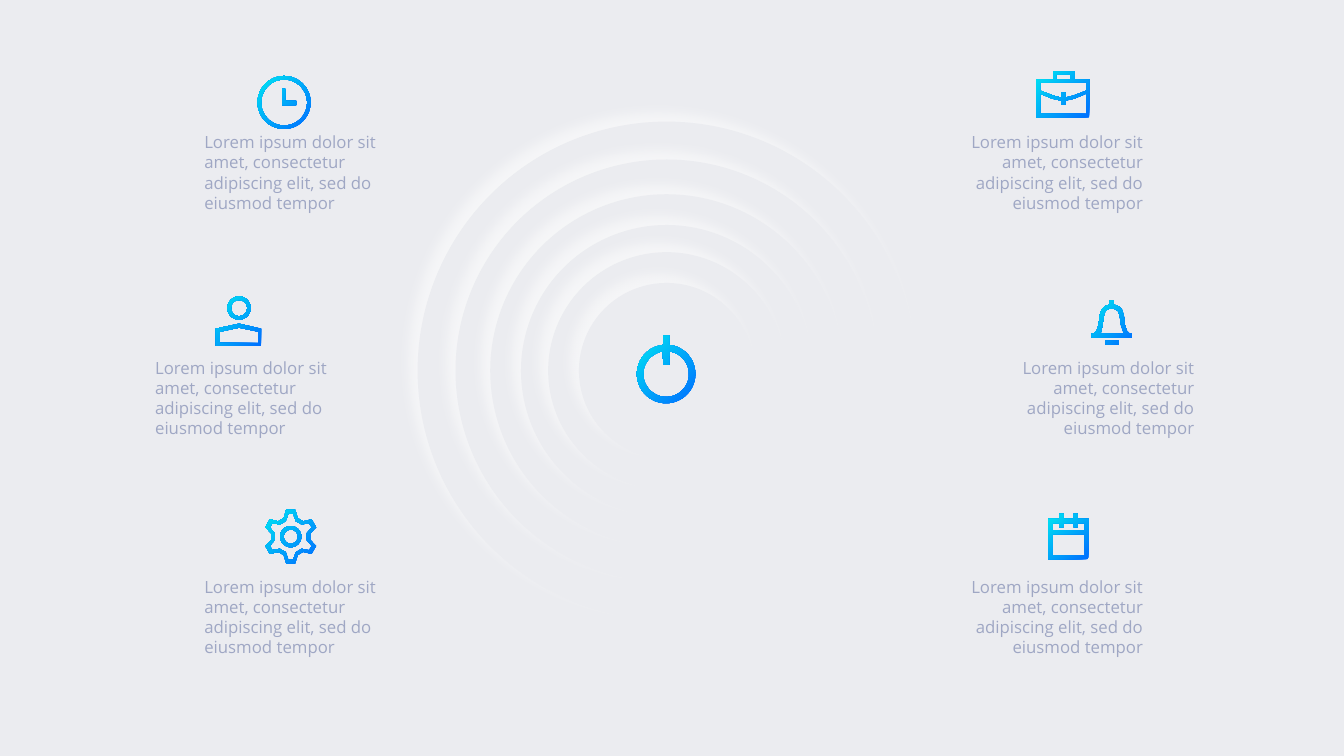
from dataclasses import dataclass
from math import cos, radians, sin

from lxml import etree
from pptx import Presentation
from pptx import util as u
from pptx.dml.color import RGBColor
from pptx.enum import text
from pptx.enum.shapes import MSO_SHAPE
from pptx.oxml import ns


@dataclass(frozen=True)
class Theme:
    back: str = "EBECF0"
    glow: str = "FFFFFF"
    blue: str = "006EFF"
    cyan: str = "00E6F2"
    ink: str = "9FA7C4"
    font: str = "Open Sans"
    size: int = 12


theme = Theme()
rgb = RGBColor.from_string


def arc(x, y, r, start=0, end=360):
    """Points clockwise along an arc; zero degrees is at the top."""
    turns = [radians(start + (end - start) * i / 72) for i in range(73)]
    return [(x + r * sin(t), y - r * cos(t)) for t in turns]


def cog(x, y, tip, tip_turn, base, base_turn):
    """Outline of a gear with six teeth."""
    marks = [(base, -base_turn), (tip, -tip_turn), (tip, tip_turn), (base, base_turn)]
    return [(x + r * sin(radians(a + tooth)), y - r * cos(radians(a + tooth)))
            for tooth in range(0, 360, 60) for r, a in marks]


# Slide and background
deck = Presentation()
deck.slide_width, deck.slide_height = u.Cm(33.87), u.Cm(19.05)
slide = deck.slides.add_slide(deck.slide_layouts[6])
slide.background.fill.solid()
slide.background.fill.fore_color.rgb = rgb(theme.back)

# Soft rings around one centre
mid_x, mid_y = 16.8, 9.34
for wide in (12.55, 10.64, 8.89, 7.34, 5.97, 4.42):
    disc = slide.shapes.add_shape(
        MSO_SHAPE.OVAL, u.Cm(mid_x - wide / 2), u.Cm(mid_y - wide / 2),
        u.Cm(wide), u.Cm(wide))
    disc.fill.solid()
    disc.fill.fore_color.rgb = rgb(theme.back)
    disc.line.fill.background()
    disc.shadow.inherit = False
    effects = disc._element.spPr.find(ns.qn("a:effectLst"))
    shade = etree.SubElement(
        effects, ns.qn("a:outerShdw"), blurRad=str(u.Pt(9)), dist=str(u.Pt(9)),
        dir=str(225 * 60000), algn="br", rotWithShape="0")
    tint = etree.SubElement(shade, ns.qn("a:srgbClr"), val=theme.glow)
    etree.SubElement(tint, ns.qn("a:alpha"), val="56000")

# Icon outlines, on a grid of 0.254 mm from each icon's corner
clock = [arc(26, 26.5, 26.3), arc(26, 26.5, 22.8),
         [(38, 29), (24, 29), (24, 13), (27, 13), (27, 25), (38, 25)]]
user = [[(45, 32), (23, 27), (0, 32), (0, 49), (45, 49)],
        [(42, 46), (4, 46), (4, 35), (23, 31), (42, 35)],
        arc(23, 11.5, 11.5), arc(23, 11.5, 8)]
gear = [cog(25.5, 26.5, 26.8, 9.6, 19.5, 21), cog(25.5, 26.5, 22.7, 6.3, 16.2, 18),
        arc(25.5, 26.5, 10.5), arc(25.5, 26.5, 7)]
case = [[(53, 8), (38, 8), (38, 0), (17, 0), (17, 8), (0, 8), (0, 46), (53, 46)],
        [(20, 3), (34, 3), (34, 8), (20, 8)],
        [(4, 11), (50, 11), (50, 19), (37, 24), (29, 26), (29, 21),
         (25, 21), (25, 26), (17, 24), (4, 19)],
        [(4, 42), (4, 22), (16, 27), (25, 29), (25, 33), (29, 33),
         (29, 29), (38, 27), (50, 22), (50, 42)]]
bell = [[(0, 37), (40, 37), (40, 33), (38, 33), (35, 30), (33, 24), (32, 15),
         (30, 9), (27, 6), (22, 4), (22, 0), (18, 0), (18, 4), (13, 6),
         (10, 9), (8, 15), (7, 24), (5, 30), (2, 33), (0, 33)],
        [(12, 16), (13.5, 11), (16, 8.8), (20, 8), (24, 8.8), (26.5, 11),
         (28, 16), (29, 24), (32, 33), (9, 33), (11, 24)],
        [(14, 40), (27, 40), (27, 44), (14, 44)]]
dates = [[(40, 5), (29, 5), (29, 0), (25, 0), (25, 5), (15, 5), (15, 0),
          (11, 0), (11, 5), (0, 5), (0, 45), (40, 45)],
         [(36, 41), (4, 41), (4, 20), (36, 20)],
         [(36, 16), (4, 16), (4, 9), (11, 9), (11, 13), (15, 13), (15, 9),
          (25, 9), (25, 13), (29, 13), (29, 9), (36, 9)]]
power = [arc(29, 38, 29, 6, 354) + [(26, 0), (32, 0)],
         arc(29, 38, 22.7, 8, 352) + [(26, 29), (32, 29)]]

# Icons with a diagonal gradient
grid = 25.4
for left, top, paths in (
        (5.44, 7.47, user), (6.68, 12.85, gear), (6.5, 1.91, clock),
        (26.11, 1.8, case), (27.51, 7.57, bell), (26.42, 12.95, dates),
        (16.05, 8.46, power)):
    pen = None
    for points in paths:
        first, *rest = [(x * grid, y * grid) for x, y in points]
        if pen is None:
            pen = slide.shapes.build_freeform(*first, scale=u.Cm(0.001))
        else:
            pen.move_to(*first)
        pen.add_line_segments(rest, close=True)
    icon = pen.convert_to_shape(u.Cm(left), u.Cm(top))
    icon.fill.gradient()
    icon.fill.gradient_angle = 135
    for stop, place, hue in zip(icon.fill.gradient_stops, (0, 1), (theme.blue, theme.cyan)):
        stop.position = place
        stop.color.rgb = rgb(hue)
    icon.line.fill.background()
    icon.shadow.inherit = False

# Captions: three rows on each side
words = "Lorem ipsum dolor sit amet, consectetur adipiscing elit, sed do eiusmod tempor"
rows = (3.2, 8.89, 14.4)
sides = ((text.PP_ALIGN.LEFT, (4.9, 3.66, 4.9)),
         (text.PP_ALIGN.RIGHT, (23.75, 25.04, 23.75)))
for align, lefts in sides:
    for left, top in zip(lefts, rows):
        box = slide.shapes.add_textbox(u.Cm(left), u.Cm(top), u.Cm(5.31), u.Cm(2.31))
        frame = box.text_frame
        frame.word_wrap = True
        frame.auto_size = text.MSO_AUTO_SIZE.SHAPE_TO_FIT_TEXT
        para = frame.paragraphs[0]
        para.alignment = align
        run = para.add_run()
        run.text = words
        run.font.name = theme.font
        run.font.size = u.Pt(theme.size)
        run.font.color.rgb = rgb(theme.ink)

deck.save("out.pptx")
